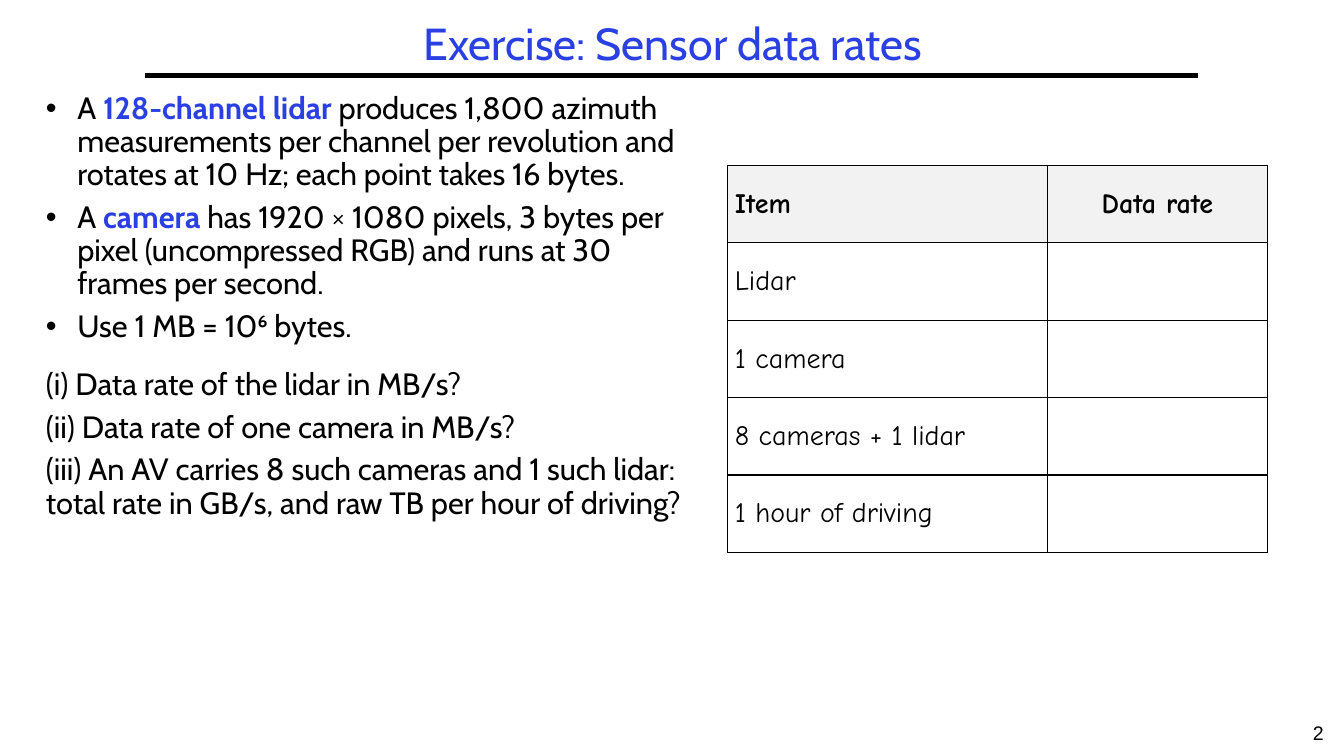
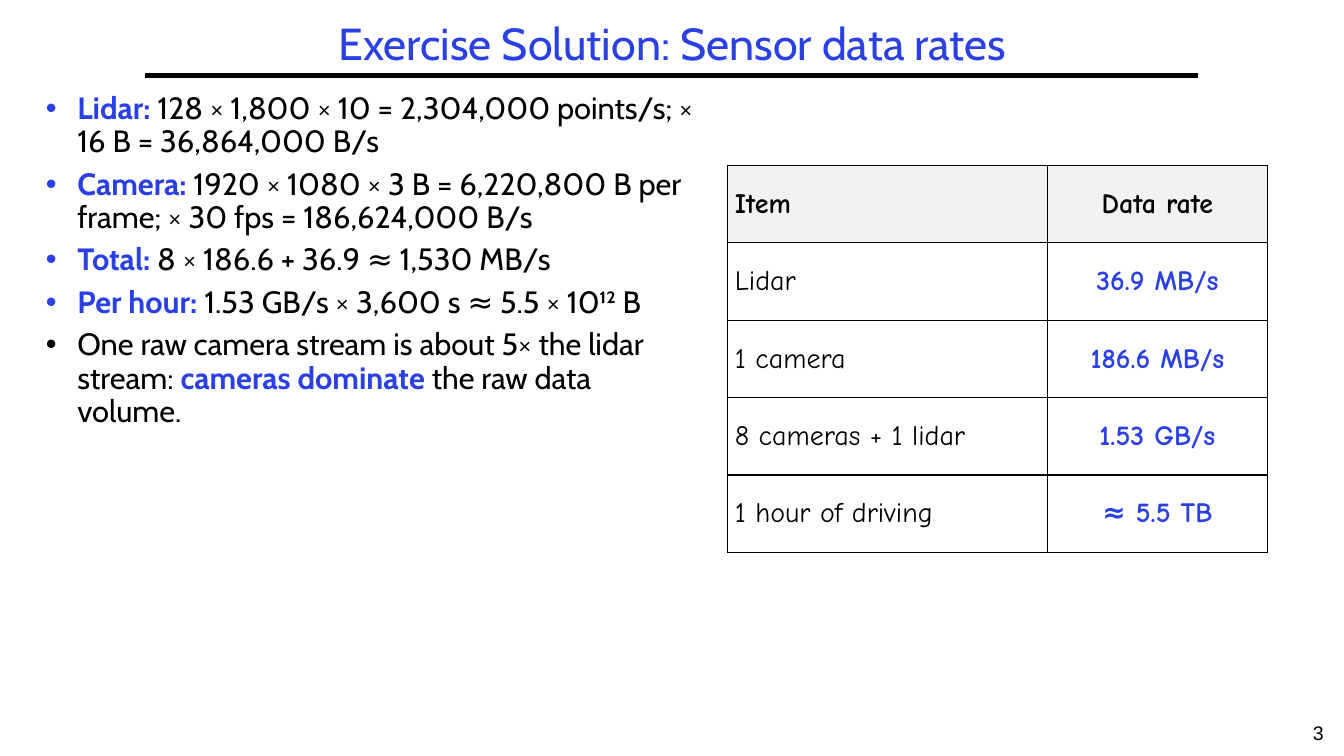
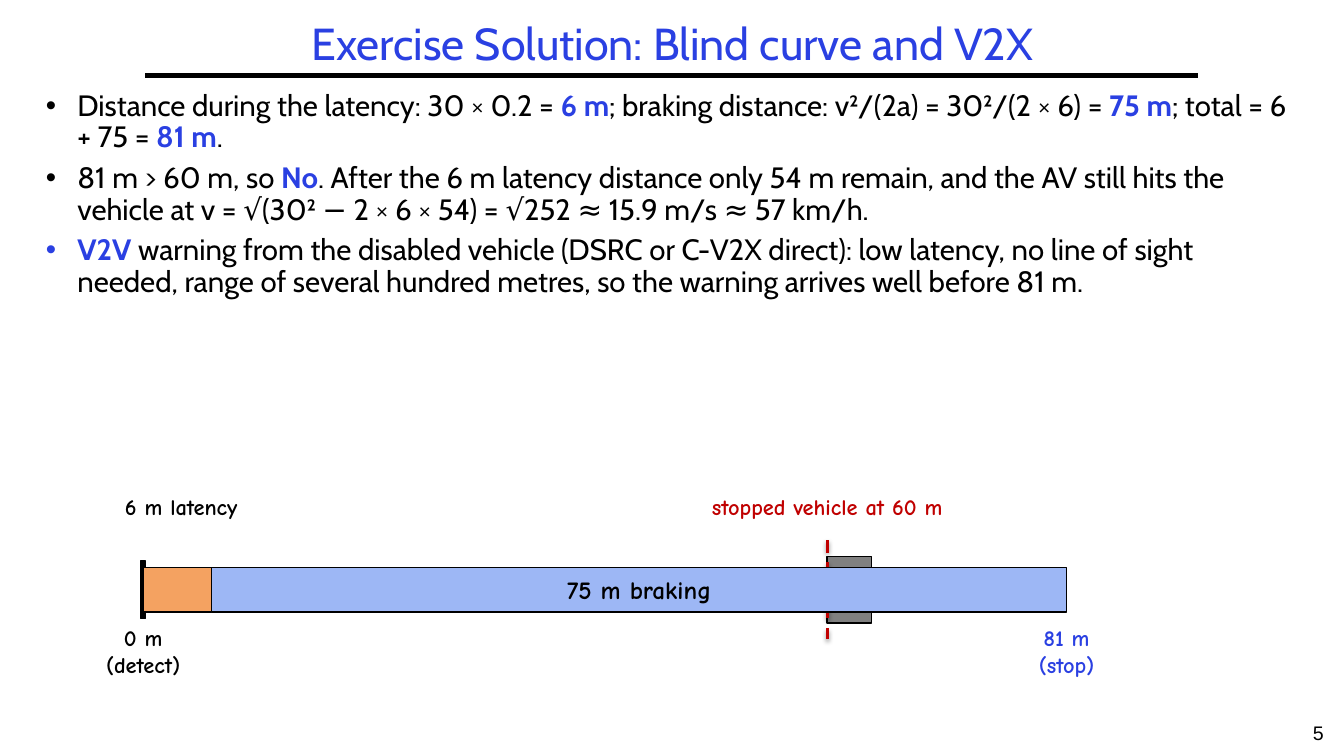
from dataclasses import dataclass

from lxml import etree
from pptx import Presentation
from pptx.dml.color import RGBColor
from pptx.enum.dml import MSO_LINE
from pptx.enum.shapes import MSO_CONNECTOR, MSO_SHAPE
from pptx.enum.text import MSO_ANCHOR, PP_ALIGN
from pptx.oxml.ns import qn
from pptx.util import Cm, Pt

STRAIGHT = MSO_CONNECTOR.STRAIGHT
RECTANGLE = MSO_SHAPE.RECTANGLE
DASH = MSO_LINE.DASH
TOP, MIDDLE = MSO_ANCHOR.TOP, MSO_ANCHOR.MIDDLE
LEFT, CENTER = PP_ALIGN.LEFT, PP_ALIGN.CENTER


@dataclass(frozen=True)
class Theme:
    text_font: str = "Cabin"
    drawing_font: str = "Comic Neue"
    number_font: str = "Arial"
    black: str = "000000"
    white: str = "FFFFFF"
    accent: str = "2A40E2"
    header_fill: str = "F2F2F2"
    alert: str = "C00000"
    vehicle: str = "808080"
    latency: str = "F4A261"
    braking: str = "9DB7F5"
    title_size: float = 32
    body_size: float = 22
    dense_body_size: float = 21
    table_size: float = 20
    bar_size: float = 18
    label_size: float = 16
    number_size: float = 14
    line_spacing: float = 0.9
    paragraph_gap: float = 0.3  # share of the type size
    section_gap: float = 18


THEME = Theme()
BULLET_INDENT = Cm(0.79)

# Stopping-distance diagram: metres are mapped onto a horizontal track.
TRACK_LEFT, TRACK_LENGTH = Cm(3.61), Cm(23.27)
TRACK_MIDDLE = Cm(14.86)
BAR_HEIGHT = Cm(1.12)
LATENCY_METRES, VEHICLE_METRES, STOP_METRES = 6, 60, 81
LABEL_ABOVE, LABEL_BELOW = Cm(12.37), Cm(15.67)

RATE_ITEMS = ["Lidar", "1 camera", "8 cameras + 1 lidar", "1 hour of driving"]
RATE_ANSWERS = ["36.9 MB/s", "186.6 MB/s", "1.53 GB/s", "≈ 5.5 TB"]

RATE_FACTS = [
    "A **128-channel lidar** produces 1,800 azimuth measurements per channel "
    "per revolution and rotates at 10 Hz; each point takes 16 bytes.",
    "A **camera** has 1920 × 1080 pixels, 3 bytes per pixel (uncompressed RGB) "
    "and runs at 30 frames per second.",
    "Use 1 MB = 10⁶ bytes.",
]
RATE_QUESTIONS = [
    "(i) Data rate of the lidar in MB/s?",
    "(ii) Data rate of one camera in MB/s?",
    "(iii) An AV carries 8 such cameras and 1 such lidar: total rate in GB/s, "
    "and raw TB per hour of driving?",
]
RATE_SOLUTION = [
    "**Lidar:** 128 × 1,800 × 10 = 2,304,000 points/s; × 16 B = 36,864,000 B/s",
    "**Camera:** 1920 × 1080 × 3 B = 6,220,800 B per frame; × 30 fps = 186,624,000 B/s",
    "**Total:** 8 × 186.6 + 36.9 ≈ 1,530 MB/s",
    "**Per hour:** 1.53 GB/s × 3,600 s ≈ 5.5 × 10¹² B",
    "One raw camera stream is about 5× the lidar stream: "
    "**cameras dominate** the raw data volume.",
]
CURVE_SOLUTION = [
    "Distance during the latency: 30 × 0.2 = **6 m**; braking distance: "
    "v²/(2a) = 30²/(2 × 6) = **75 m**; total = 6 + 75 = **81 m**.",
    "81 m > 60 m, so **No**. After the 6 m latency distance only 54 m remain, and the AV "
    "still hits the vehicle at v = √(30² − 2 × 6 × 54) = √252 ≈ 15.9 m/s ≈ 57 km/h.",
    "**V2V** warning from the disabled vehicle (DSRC or C-V2X direct): low latency, no line "
    "of sight needed, range of several hundred metres, so the warning arrives well before 81 m.",
]


def rgb(color):
    return RGBColor.from_string(color)


def add_run(paragraph, text, font, size, color, bold=False):
    run = paragraph.add_run()
    run.text = text
    run.font.name = font
    run.font.size = Pt(size)
    run.font.color.rgb = rgb(color)
    run.font.bold = bold


def next_paragraph(frame, index):
    return frame.add_paragraph() if index else frame.paragraphs[0]


def add_text_frame(slide, left, top, width, height, anchor=TOP, inset=(0.25, 0.13)):
    frame = slide.shapes.add_textbox(left, top, width, height).text_frame
    frame.word_wrap = True
    frame.vertical_anchor = anchor
    frame.margin_left = frame.margin_right = Cm(inset[0])
    frame.margin_top = frame.margin_bottom = Cm(inset[1])
    return frame


def add_line(slide, start, end, color, width, dash=None, shadow=False):
    connector = slide.shapes.add_connector(STRAIGHT, *start, *end)
    connector.line.color.rgb = rgb(color)
    connector.line.width = Pt(width)
    if dash:
        connector.line.dash_style = dash
    if not shadow:
        properties = connector._element.find(qn("p:spPr"))
        etree.SubElement(properties, qn("a:effectLst"))


def add_box(slide, left, width, height, fill):
    """Add an outlined rectangle centred vertically on the track."""
    top = TRACK_MIDDLE - height // 2
    shape = slide.shapes.add_shape(RECTANGLE, left, top, width, height)
    shape.shadow.inherit = False
    shape.fill.solid()
    shape.fill.fore_color.rgb = rgb(fill)
    shape.line.color.rgb = rgb(THEME.black)
    shape.line.width = Pt(1)
    return shape


def add_label(slide, left, top, width, lines, color=THEME.black, align=CENTER):
    height = Cm(0.32 + 0.62 * len(lines))
    frame = add_text_frame(slide, left, top, width, height, inset=(0.1, 0.05))
    for index, line in enumerate(lines):
        paragraph = next_paragraph(frame, index)
        paragraph.alignment = align
        add_run(paragraph, line, THEME.drawing_font, THEME.label_size, color, True)


def add_base_slide(presentation, title, number):
    """Add a slide with the shared title, rule and page number."""
    slide = presentation.slides.add_slide(presentation.slide_layouts[6])
    add_line(slide, (Cm(3.66), Cm(1.9)), (Cm(30.2), Cm(1.9)), THEME.black, 3)
    frame = add_text_frame(slide, Cm(32.59), Cm(18.03), Cm(1.27), Cm(1.02))
    frame.paragraphs[0].alignment = CENTER
    add_run(frame.paragraphs[0], str(number), THEME.number_font,
            THEME.number_size, THEME.black)
    frame = add_text_frame(slide, Cm(3.66), Cm(0.43), Cm(26.59), Cm(1.47), MIDDLE)
    paragraph = frame.paragraphs[0]
    paragraph.alignment = CENTER
    paragraph.line_spacing = THEME.line_spacing
    add_run(paragraph, title, THEME.text_font, THEME.title_size, THEME.accent)
    return slide


def set_bullet(paragraph):
    properties = paragraph._p.get_or_add_pPr()
    properties.set("marL", str(BULLET_INDENT))
    properties.set("indent", str(-BULLET_INDENT))
    etree.SubElement(properties, qn("a:buFont"), typeface="Arial")
    etree.SubElement(properties, qn("a:buChar"), char="•")


def add_body(slide, top, width, height, bullets, questions=(), size=THEME.body_size):
    """Add bullets, then plain questions; text between ** marks is emphasised."""
    frame = add_text_frame(slide, Cm(0.91), top, width, height)
    for index, text in enumerate([*bullets, *questions]):
        paragraph = next_paragraph(frame, index)
        if index < len(bullets):
            set_bullet(paragraph)
        paragraph.line_spacing = THEME.line_spacing
        if index == len(bullets):
            paragraph.space_before = Pt(THEME.section_gap)
        elif index:
            paragraph.space_before = Pt(THEME.paragraph_gap * size)
        for part, words in enumerate(text.split("**")):
            strong = part % 2 == 1
            if words:
                add_run(paragraph, words, THEME.text_font, size,
                        THEME.accent if strong else THEME.black, strong)


def set_borders(cell):
    properties = cell._tc.get_or_add_tcPr()
    for position, side in enumerate(("a:lnL", "a:lnR", "a:lnT", "a:lnB")):
        line = etree.Element(qn(side), w=str(Pt(1)))
        fill = etree.SubElement(line, qn("a:solidFill"))
        etree.SubElement(fill, qn("a:srgbClr"), val=THEME.black)
        properties.insert(position, line)


def fill_cell(cell, text, fill, color, bold, align):
    cell.fill.solid()
    cell.fill.fore_color.rgb = rgb(fill)
    set_borders(cell)
    cell.vertical_anchor = MIDDLE
    cell.margin_left = cell.margin_right = Cm(0.18)
    cell.margin_top = cell.margin_bottom = Cm(0.08)
    paragraph = cell.text_frame.paragraphs[0]
    paragraph.alignment = align
    if text:
        add_run(paragraph, text, THEME.drawing_font, THEME.table_size, color, bold)


def add_rate_table(slide, rates):
    rows = [("Item", "Data rate"), *zip(RATE_ITEMS, rates)]
    widths = (Cm(8.05), Cm(5.56))
    row_height = Cm(1.95)
    table = slide.shapes.add_table(len(rows), len(widths), Cm(18.34), Cm(4.17),
                                   sum(widths), row_height * len(rows)).table
    table.first_row = table.horz_banding = False
    for column, width in zip(table.columns, widths):
        column.width = width
    for index, (item, rate) in enumerate(rows):
        table.rows[index].height = row_height
        header = index == 0
        fill = THEME.header_fill if header else THEME.white
        rate_color = THEME.black if header else THEME.accent
        fill_cell(table.cell(index, 0), item, fill, THEME.black, header, LEFT)
        fill_cell(table.cell(index, 1), rate, fill, rate_color, True, CENTER)


def track_position(metres):
    return TRACK_LEFT + round(TRACK_LENGTH * metres / STOP_METRES)


def add_track_label(slide, metres, top, width, lines, color=THEME.black):
    """Add a label centred on a distance along the track."""
    add_label(slide, track_position(metres) - width // 2, top, width, lines, color)


def add_track_bar(slide, start, end, fill):
    left = track_position(start)
    return add_box(slide, left, track_position(end) - left, BAR_HEIGHT, fill)


def add_stopping_diagram(slide):
    mark_width = Cm(0.13)
    add_box(slide, TRACK_LEFT - mark_width // 2, mark_width, Cm(1.45), THEME.black)
    add_track_label(slide, 0, LABEL_BELOW, Cm(3.33), ["0 m", "(detect)"])

    vehicle_left = track_position(VEHICLE_METRES)
    add_box(slide, vehicle_left, Cm(1.12), Cm(1.68), THEME.vehicle)
    add_line(slide, (vehicle_left, Cm(13.61)), (vehicle_left, Cm(16.1)),
             THEME.alert, 2.25, DASH, shadow=True)
    add_track_label(slide, VEHICLE_METRES, LABEL_ABOVE, Cm(7.21),
                    ["stopped vehicle at 60 m"], THEME.alert)

    add_track_bar(slide, 0, LATENCY_METRES, THEME.latency)
    braking = add_track_bar(slide, LATENCY_METRES, STOP_METRES, THEME.braking)
    braking.text_frame.vertical_anchor = MIDDLE
    paragraph = braking.text_frame.paragraphs[0]
    paragraph.alignment = CENTER
    add_run(paragraph, "75 m braking", THEME.drawing_font, THEME.bar_size,
            THEME.black, True)

    add_label(slide, Cm(3.05), LABEL_ABOVE, Cm(5), ["6 m latency"], align=LEFT)
    add_track_label(slide, STOP_METRES, LABEL_BELOW, Cm(3.89),
                    ["81 m", "(stop)"], THEME.accent)


def add_rate_slide(presentation, title, number, bullets, questions, rates):
    slide = add_base_slide(presentation, title, number)
    add_body(slide, Cm(2.21), Cm(16.94), Cm(15.27), bullets, questions)
    add_rate_table(slide, rates)


def add_curve_slide(presentation):
    slide = add_base_slide(presentation, "Exercise Solution: Blind curve and V2X", 5)
    add_body(slide, Cm(2.16), Cm(31.95), Cm(9.45), CURVE_SOLUTION,
             size=THEME.dense_body_size)
    add_stopping_diagram(slide)


def main():
    presentation = Presentation()
    presentation.slide_width = Cm(33.87)
    presentation.slide_height = Cm(19.05)
    add_rate_slide(presentation, "Exercise: Sensor data rates", 2,
                   RATE_FACTS, RATE_QUESTIONS, [""] * len(RATE_ITEMS))
    add_rate_slide(presentation, "Exercise Solution: Sensor data rates", 3,
                   RATE_SOLUTION, [], RATE_ANSWERS)
    add_curve_slide(presentation)
    presentation.save("out.pptx")


if __name__ == "__main__":
    main()
